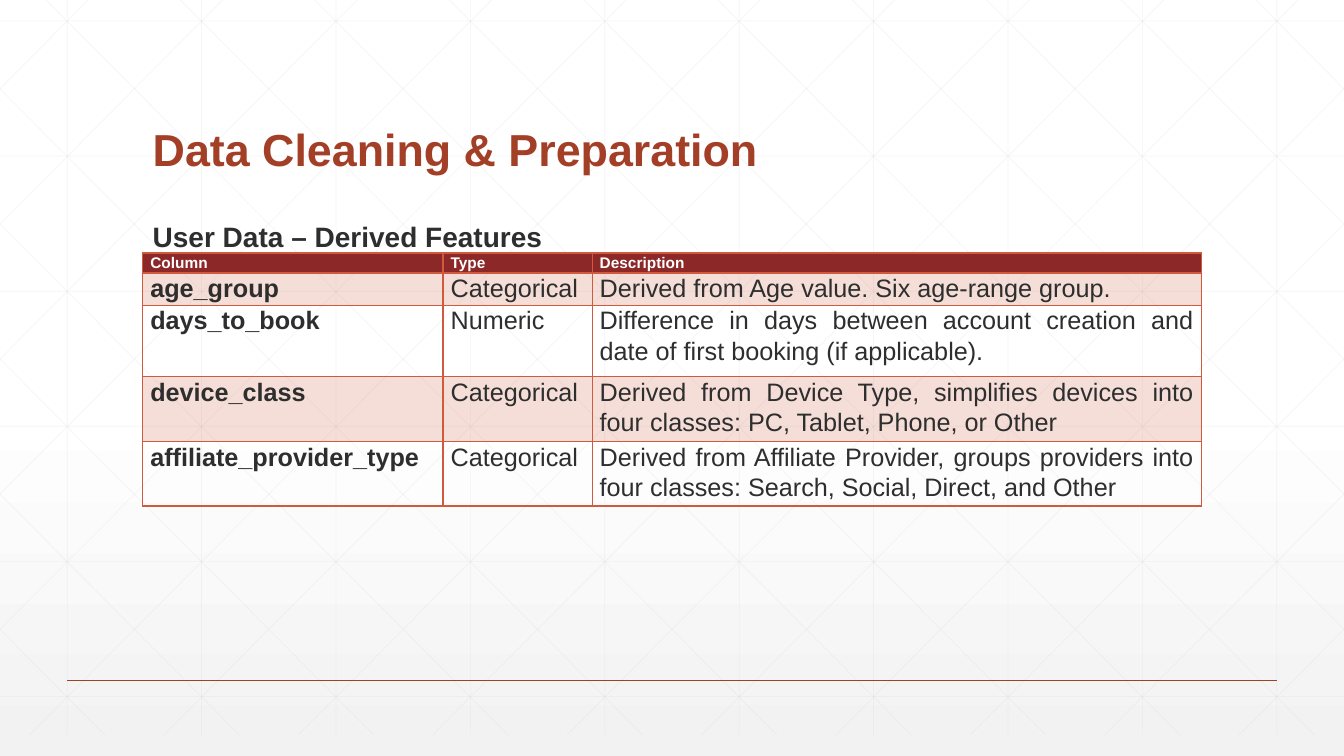
from dataclasses import dataclass

from lxml import etree
from pptx import Presentation
from pptx.dml.color import RGBColor
from pptx.enum.shapes import MSO_CONNECTOR
from pptx.enum.text import MSO_ANCHOR, PP_ALIGN
from pptx.oxml.ns import qn
from pptx.util import Pt

STRAIGHT = MSO_CONNECTOR.STRAIGHT
TOP, BOTTOM = MSO_ANCHOR.TOP, MSO_ANCHOR.BOTTOM
LEFT, JUSTIFY = PP_ALIGN.LEFT, PP_ALIGN.JUSTIFY


@dataclass(frozen=True)
class Theme:
    """Colours, font and type sizes of the slide."""
    font: str = "Arial"
    white: str = "FFFFFF"
    page_end: str = "F2F2F2"
    grid: str = "D9D9D9"
    title: str = "A43F27"
    text: str = "2D2E2D"
    header: str = "8C2828"
    accent: str = "D15A3E"
    title_size: float = 32
    subtitle_size: float = 20
    header_size: float = 11
    cell_size: float = 18


THEME = Theme()
WIDTH, HEIGHT = 960, 540
MARGIN, CONTENT_WIDTH = 102, 756
GRID_TOP, GRID_BOTTOM = -15, 525
GRID_STEP = 96
DIAGONAL_RUN = 537

COLUMN_WIDTHS = [214.5, 106.5, 435]
ROW_HEIGHTS = [8, 16.5, 51, 34, 23]
FEATURES = [
    ("Column", "Type", "Description"),
    ("age_group", "Categorical", "Derived from Age value. Six age-range group."),
    ("days_to_book", "Numeric",
     "Difference in days between account creation and date of first booking (if applicable)."),
    ("device_class", "Categorical",
     "Derived from Device Type, simplifies devices into four classes: PC, Tablet, Phone, or Other"),
    ("affiliate_provider_type", "Categorical",
     "Derived from Affiliate Provider, groups providers into four classes: "
     "Search, Social, Direct, and Other"),
]


def rgb(color):
    """Turn a hex string into a colour."""
    return RGBColor.from_string(color)


def set_alpha(element, percent):
    """Make the first RGB colour inside an element partly transparent."""
    color = element.find(".//" + qn("a:srgbClr"))
    etree.SubElement(color, qn("a:alpha")).set("val", str(percent * 1000))


def paint_background(page):
    """Fade the page from white to light grey in its lower half."""
    fill = page.background.fill
    fill.gradient()
    fill.gradient_angle = 270
    stops = [(0.53, THEME.white), (1, THEME.page_end)]
    for stop, (position, color) in zip(fill.gradient_stops, stops):
        stop.position = position
        stop.color.rgb = rgb(color)


def add_line(page, start, end, color, width, alpha=None):
    """Draw a straight line without a shadow."""
    points = [Pt(value) for value in (*start, *end)]
    line = page.shapes.add_connector(STRAIGHT, *points)
    line.line.color.rgb = rgb(color)
    line.line.width = Pt(width)
    properties = line._element.spPr
    if alpha is not None:
        set_alpha(properties, alpha)
    etree.SubElement(properties, qn("a:effectLst"))


def clipped_diagonal(x):
    """Return the ends of a falling diagonal, cut at the sides of the page."""
    slope = (GRID_BOTTOM - GRID_TOP) / DIAGONAL_RUN
    left, right = max(x, 0), min(x + DIAGONAL_RUN, WIDTH)
    return [(end, GRID_TOP + (end - x) * slope) for end in (left, right)]


def add_grid(page):
    """Draw the faint lattice of verticals, horizontals and mirrored diagonals."""
    lines = []
    for i in range(10):
        x = 48 + GRID_STEP * i
        lines.append([(x, GRID_TOP), (x, GRID_BOTTOM)])
    for i in range(6):
        y = 15 + 96.5 * i
        lines.append([(0, y), (WIDTH, y)])
    for i in range(-5, 10):
        falling = clipped_diagonal(18 + GRID_STEP * i)
        lines.append(falling)
        lines.append([(WIDTH - x, y) for x, y in falling])
    for start, end in lines:
        add_line(page, start, end, THEME.grid, 0.5, alpha=25)


def write(frame, text, size, color, bold, align, spacing):
    """Put one styled paragraph into a text frame and return it."""
    para = frame.paragraphs[0]
    para.text = text
    para.alignment = align
    para.line_spacing = spacing
    para.font.name = THEME.font
    para.font.size = Pt(size)
    para.font.bold = bold
    para.font.color.rgb = rgb(color)
    return para


def add_heading(page, text, top, height, size, color, anchor):
    """Add a bold heading across the content width."""
    box = page.shapes.add_textbox(Pt(MARGIN), Pt(top), Pt(CONTENT_WIDTH), Pt(height))
    frame = box.text_frame
    frame.word_wrap = True
    frame.vertical_anchor = anchor
    return write(frame, text, size, color, True, LEFT, 0.9)


def set_borders(cell, bottom_width):
    """Outline a cell, with its own width for the bottom edge."""
    properties = cell._tc.get_or_add_tcPr()
    widths = {"a:lnL": 1, "a:lnR": 1, "a:lnT": 1, "a:lnB": bottom_width}
    for tag, width in widths.items():
        edge = etree.SubElement(properties, qn(tag), w=str(Pt(width)))
        fill = etree.SubElement(edge, qn("a:solidFill"))
        etree.SubElement(fill, qn("a:srgbClr"), val=THEME.accent)


def fill_cell(cell, row):
    """Fill the header solid and every other body row with a tint."""
    if row % 2 == 0 and row > 0:
        cell.fill.background()
        return
    cell.fill.solid()
    cell.fill.fore_color.rgb = rgb(THEME.accent if row else THEME.header)
    if row:
        set_alpha(cell._tc.tcPr.find(qn("a:solidFill")), 20)


def add_feature_table(page):
    """Add the table of derived features."""
    table = page.shapes.add_table(
        len(FEATURES), len(COLUMN_WIDTHS), Pt(MARGIN), Pt(180.7),
        Pt(CONTENT_WIDTH), Pt(sum(ROW_HEIGHTS))).table
    table.horz_banding = False
    for column, width in zip(table.columns, COLUMN_WIDTHS):
        column.width = Pt(width)
    for row, (height, texts) in enumerate(zip(ROW_HEIGHTS, FEATURES)):
        table.rows[row].height = Pt(height)
        size = THEME.cell_size if row else THEME.header_size
        color = THEME.text if row else THEME.white
        for column, text in enumerate(texts):
            cell = table.cell(row, column)
            cell.margin_left = cell.margin_right = Pt(5.4)
            cell.margin_top = cell.margin_bottom = 0
            set_borders(cell, 1 if row else 2)
            fill_cell(cell, row)
            bold = row == 0 or column == 0
            write(cell.text_frame, text, size, color, bold, JUSTIFY, 1.07)


def main():
    """Build the slide and save the deck."""
    deck = Presentation()
    deck.slide_width, deck.slide_height = Pt(WIDTH), Pt(HEIGHT)
    page = deck.slides.add_slide(deck.slide_layouts[6])
    paint_background(page)
    add_grid(page)
    add_line(page, (48, 486), (912, 486), THEME.title, 1)
    add_heading(page, "Data Cleaning & Preparation", 39.6, 90,
                THEME.title_size, THEME.title, BOTTOM)
    subtitle = add_heading(page, "User Data – Derived Features", 156, 300,
                           THEME.subtitle_size, THEME.text, TOP)
    subtitle.space_before = Pt(18)
    add_feature_table(page)
    deck.save("out.pptx")


if __name__ == "__main__":
    main()
